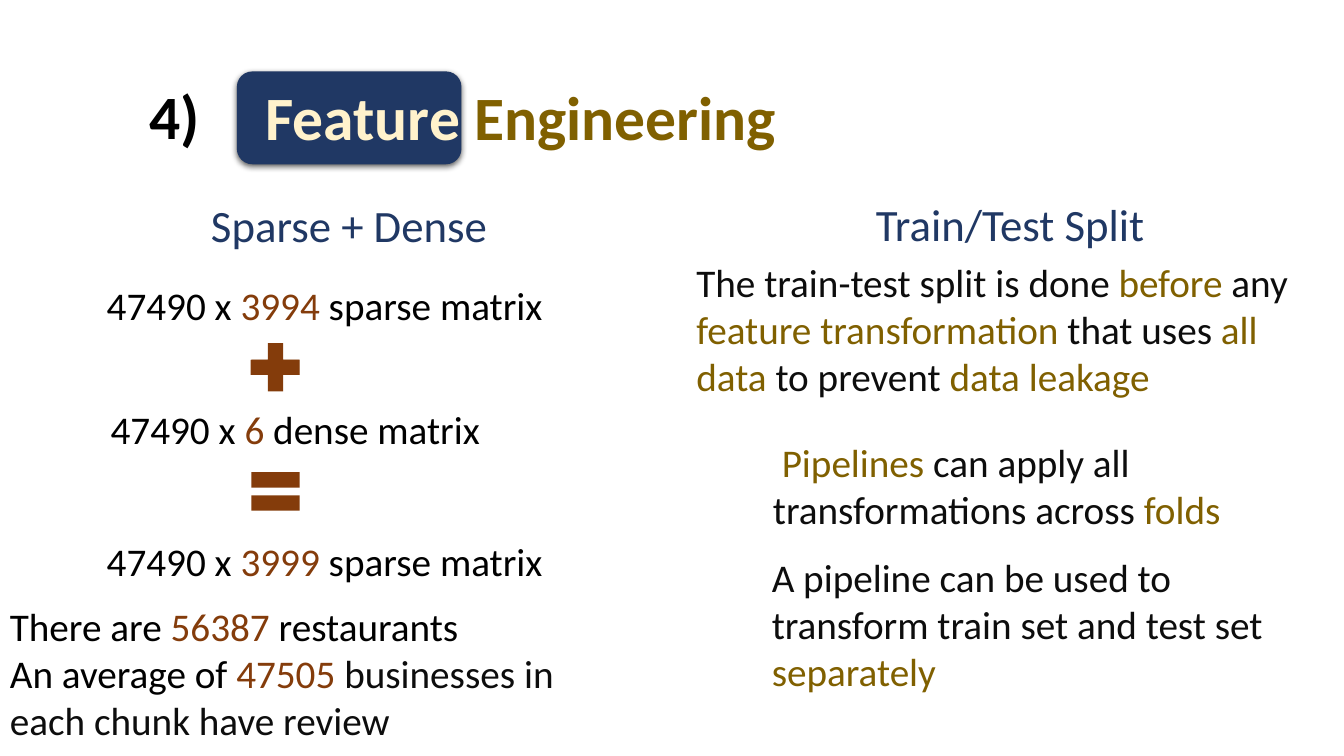
from lxml.etree import SubElement
from pptx import Presentation
from pptx.dml.color import RGBColor
from pptx.enum.shapes import MSO_SHAPE as Shape
from pptx.enum.text import MSO_ANCHOR as Anchor, MSO_AUTO_SIZE as AutoSize, PP_ALIGN as Align
from pptx.oxml.ns import qn
from pptx.util import Cm, Pt

COLORS = {"navy": "203864", "cream": "FFF2CC", "gold": "806000",
          "rust": "843C0B", "black": "000000", "ink": "0D0D0D"}

# Content: each paragraph is a list of (text, color) runs
NUMBER = [[("4)", "black")]]
TITLE = [[("Feature ", "cream"), ("Engineering", "gold")]]

# (heading, left, top) in cm
HEADINGS = [("Sparse + Dense", 0.33, 4.85), ("Train/Test Split", 16.99, 4.83)]

# (columns, kind, left, top) in cm
MATRICES = [("3994", "sparse", 2.44, 6.96),
            ("6", "dense", 2.54, 10.08),
            ("3999", "sparse", 2.44, 13.41)]

# (paragraphs, left, top, width, height) in cm
NOTES = [
    ([[("There are ", "black"), ("56387", "rust"), (" restaurants", "black")],
      [("An average of ", "black"), ("47505 ", "rust"),
       ("businesses in each chunk have review", "ink")]],
     0, 15.06, 15.85, 3.84),
    ([[("The train-test split is done ", "ink"), ("before", "gold"), (" any ", "ink"),
       ("feature transformation ", "gold"), ("that uses ", "ink"), ("all data", "gold"),
       (" to prevent ", "ink"), ("data leakage", "gold")]],
     17.3, 6.38, 15.93, 3.84),
    ([[(" ", "ink"), ("Pipelines", "gold"),
       (" can apply all transformations across ", "ink"), ("folds", "gold")]],
     19.23, 10.92, 14.02, 2.64),
    ([[("A pipeline can be used to transform train set and test set ", "ink"),
       ("separately", "gold")]],
     19.2, 13.82, 14.02, 3.84),
]

# (shape, left, top, width, height) in cm
OPERATORS = [(Shape.MATH_PLUS, 6.12, 8.43, 1.65, 1.65),
             (Shape.RECTANGLE, 6.32, 9.07, 1.22, 0.38),
             (Shape.MATH_EQUAL, 6.12, 11.56, 1.65, 1.65)]


def rgb(color):
    return RGBColor.from_string(COLORS[color])


def write(paragraphs, box, holder=None, size=28, bold=False, align=Align.LEFT,
          spacing=1.0, fit=AutoSize.SHAPE_TO_FIT_TEXT):
    """Fill a placeholder, or a new text box, with colored runs."""
    left, top, width, height = map(Cm, box)
    if holder is None:
        holder = slide.shapes.add_textbox(left, top, width, height)
    holder.left, holder.top, holder.width, holder.height = left, top, width, height
    frame = holder.text_frame
    frame.word_wrap = True
    frame.auto_size = fit
    frame.vertical_anchor = Anchor.TOP
    for index, runs in enumerate(paragraphs):
        paragraph = frame.add_paragraph() if index else frame.paragraphs[0]
        paragraph.alignment = align
        paragraph.line_spacing = spacing
        paragraph.space_before = Pt(0)
        for text, color in runs:
            run = paragraph.add_run()
            run.text = text
            run.font.name = "Calibri"
            run.font.size = Pt(size)
            run.font.bold = bold
            run.font.color.rgb = rgb(color)


def add_block(kind, box, color):
    block = slide.shapes.add_shape(kind, *map(Cm, box))
    block.shadow.inherit = False
    block.fill.solid()
    block.fill.fore_color.rgb = rgb(color)
    block.line.fill.background()
    return block


deck = Presentation()
deck.slide_width, deck.slide_height = Cm(33.87), Cm(19.05)
slide = deck.slides.add_slide(deck.slide_layouts[5])

# Title badge with a soft shadow, moved behind the title
badge = add_block(Shape.FLOWCHART_ALTERNATE_PROCESS, (5.97, 1.8, 5.66, 2.34), "navy")
effects = badge._element.spPr.find(qn("a:effectLst"))
shadow = SubElement(effects, qn("a:outerShdw"), blurRad=str(Pt(4.5)), dist=str(Pt(1.5)),
                    dir="5400000", algn="ctr", rotWithShape="0")
shade = SubElement(shadow, qn("a:srgbClr"), val=COLORS["black"])
SubElement(shade, qn("a:alpha"), val="63000")
title = slide.shapes.title
title._element.addprevious(badge._element)

# Title and its number
heading_format = dict(size=44, bold=True, spacing=0.9, fit=AutoSize.NONE)
write(TITLE, (6.43, 2.06, 15.01, 2.08), holder=title, **heading_format)
write(NUMBER, (3.51, 2.06, 2.46, 2.08), **heading_format)

# Column headings
for heading, left, top in HEADINGS:
    write([[(heading, "navy")]], (left, top, 16.94, 1.63), size=32, align=Align.CENTER)

# Matrix sum
for columns, kind, left, top in MATRICES:
    write([[("47490 x ", "black"), (columns, "rust"), (f" {kind} matrix", "black")]],
          (left, top, 12.01, 1.45))
for operator, *box in OPERATORS:
    add_block(operator, box, "rust")

# Notes
for paragraphs, *box in NOTES:
    write(paragraphs, box)

deck.save("out.pptx")
